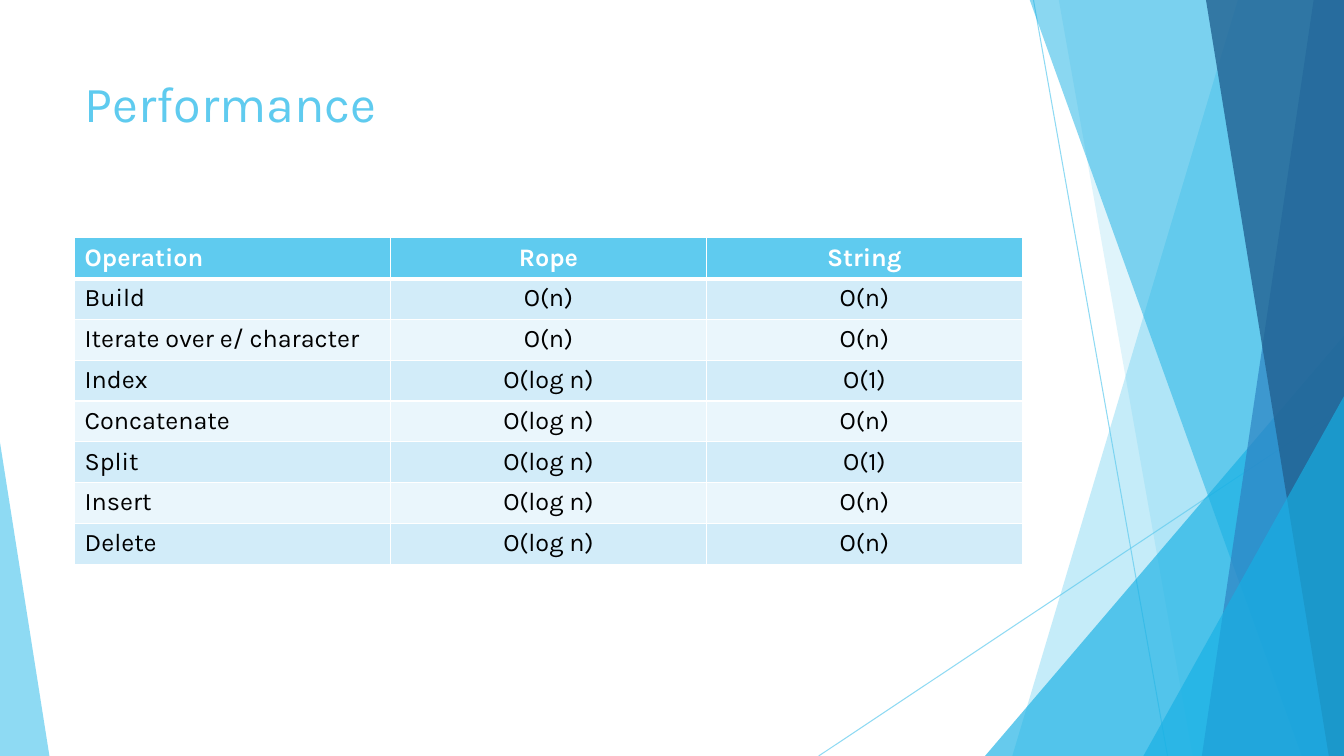
import lxml.etree
import pptx
import pptx.dml.color
import pptx.enum.shapes
import pptx.enum.text
import pptx.oxml.ns
import pptx.util

Inches = pptx.util.Inches
Pt = pptx.util.Pt
qn = pptx.oxml.ns.qn

COLORS = {
    "sky": "5FCBEF", "cyan": "17B0E4", "blue": "2E83C3", "navy": "226292",
    "white": "FFFFFF", "black": "000000", "band": "D2ECF9", "pale": "EAF6FC",
}
FONT = "Karla"
WIDTH, HEIGHT = 13.33, 7.5
LEFT, CONTENT_WIDTH = 0.74, 9.4

LINES = [((10.25, 0), (11.58, HEIGHT)), ((WIDTH, 4.03), (8.12, HEIGHT))]
BACK_PANELS = [(12.28, 10.04, "sky", 36), (10.5, 11.83, "sky", 20)]
FRONT_PANELS = [
    (10.21, 12.91, "cyan", 50), (13.03, 11.92, "blue", 70), (11.96, 13.18, "navy", 80),
]
LARGE_TRIANGLE = ((9.77, 3.33, 3.56, 4.17), 1, "cyan", 66)
SMALL_TRIANGLES = [
    ((11.34, 3.93, 1.99, 3.57), 1, "cyan", 66),
    ((0, 4.39, 0.49, 3.11), 0, "sky", 70),
]
ROWS = [
    ("Operation", "Rope", "String"),
    ("Build", "O(n)", "O(n)"),
    ("Iterate over e/ character", "O(n)", "O(n)"),
    ("Index", "O(log n)", "O(1)"),
    ("Concatenate", "O(log n)", "O(n)"),
    ("Split", "O(log n)", "O(1)"),
    ("Insert", "O(log n)", "O(n)"),
    ("Delete", "O(log n)", "O(n)"),
]


def rgb(name):
    """Return the named colour as an RGB value."""
    return pptx.dml.color.RGBColor.from_string(COLORS[name])


def apply_format(target, values):
    """Set each attribute of the target from a dict."""
    for name, value in values.items():
        setattr(target, name, value)


def set_opacity(shape, percent):
    """Give the colour of a shape or connector an opacity."""
    color = shape._element.spPr.find(".//" + qn("a:srgbClr"))
    lxml.etree.SubElement(color, qn("a:alpha"), val=str(percent * 1000))


def paint(shape, color, opacity):
    """Fill a shape with a translucent colour, without outline or shadow."""
    shape.shadow.inherit = False
    shape.fill.solid()
    shape.fill.fore_color.rgb = rgb(color)
    set_opacity(shape, opacity)
    shape.line.fill.background()


def add_line(slide, start, end):
    """Draw a thin translucent line."""
    points = [Inches(value) for value in start + end]
    line = slide.shapes.add_connector(pptx.enum.shapes.MSO_CONNECTOR.STRAIGHT, *points)
    line.line.width = Pt(0.75)
    line.line.color.rgb = rgb("sky")
    set_opacity(line, 70)
    lxml.etree.SubElement(line._element.spPr, qn("a:effectLst"))


def add_panel(slide, top_x, bottom_x, color, opacity):
    """Draw a slanted panel that reaches the right edge of the slide."""
    corners = [(top_x, -0.01), (WIDTH, -0.01), (WIDTH, HEIGHT), (bottom_x, HEIGHT)]
    start, *others = [(Inches(x), Inches(y)) for x, y in corners]
    builder = slide.shapes.build_freeform(*start)
    builder.add_line_segments(others, close=True)
    paint(builder.convert_to_shape(), color, opacity)


def add_triangle(slide, box, apex, color, opacity):
    """Draw a triangle with its apex at a share of its width."""
    triangle = slide.shapes.add_shape(
        pptx.enum.shapes.MSO_SHAPE.ISOSCELES_TRIANGLE, *map(Inches, box))
    triangle.adjustments[0] = apex
    paint(triangle, color, opacity)


def write_text(frame, text, size, color, bold=False, centered=False):
    """Write one formatted paragraph into a text frame."""
    alignment = pptx.enum.text.PP_ALIGN
    paragraph = frame.paragraphs[0]
    paragraph.alignment = alignment.CENTER if centered else alignment.LEFT
    run = paragraph.add_run()
    run.text = text
    apply_format(run.font, {"name": FONT, "size": Pt(size), "bold": bold})
    run.font.color.rgb = rgb(color)


def add_title(slide, text):
    """Add the slide title."""
    title = slide.shapes.add_textbox(
        Inches(LEFT), Inches(0.67), Inches(CONTENT_WIDTH), Inches(1.44))
    apply_format(title.text_frame, {
        "word_wrap": True, "vertical_anchor": pptx.enum.text.MSO_ANCHOR.TOP})
    write_text(title.text_frame, text, 36, "sky")


def add_borders(cell, widths):
    """Draw white borders on the sides of a cell."""
    properties = cell._tc.get_or_add_tcPr()
    for side, width in widths.items():
        border = lxml.etree.SubElement(properties, qn("a:ln" + side), w=str(Pt(width)))
        fill = lxml.etree.SubElement(border, qn("a:solidFill"))
        lxml.etree.SubElement(fill, qn("a:srgbClr"), val=COLORS["white"])


def add_performance_table(slide):
    """Add the table that compares operation costs."""
    table = slide.shapes.add_table(
        len(ROWS), len(ROWS[0]), Inches(LEFT), Inches(2.36),
        Inches(CONTENT_WIDTH), Inches(3.24)).table
    table.horz_banding = False
    for row, values in enumerate(ROWS):
        header = row == 0
        fill = "sky" if header else ("pale", "band")[row % 2]
        for column, text in enumerate(values):
            cell = table.cell(row, column)
            add_borders(cell, {
                "L": 1, "R": 1, "T": 3 if row == 1 else 1, "B": 3 if header else 1})
            cell.fill.solid()
            cell.fill.fore_color.rgb = rgb(fill)
            write_text(cell.text_frame, text, 18, "white" if header else "black",
                       bold=header, centered=column > 0)


def main():
    """Build the performance slide and save it."""
    presentation = pptx.Presentation()
    apply_format(presentation, {
        "slide_width": Inches(WIDTH), "slide_height": Inches(HEIGHT)})
    slide = presentation.slides.add_slide(presentation.slide_layouts[6])
    for line in LINES:
        add_line(slide, *line)
    for panel in BACK_PANELS:
        add_panel(slide, *panel)
    add_triangle(slide, *LARGE_TRIANGLE)
    for panel in FRONT_PANELS:
        add_panel(slide, *panel)
    for triangle in SMALL_TRIANGLES:
        add_triangle(slide, *triangle)
    add_title(slide, "Performance")
    add_performance_table(slide)
    presentation.save("out.pptx")


main()
